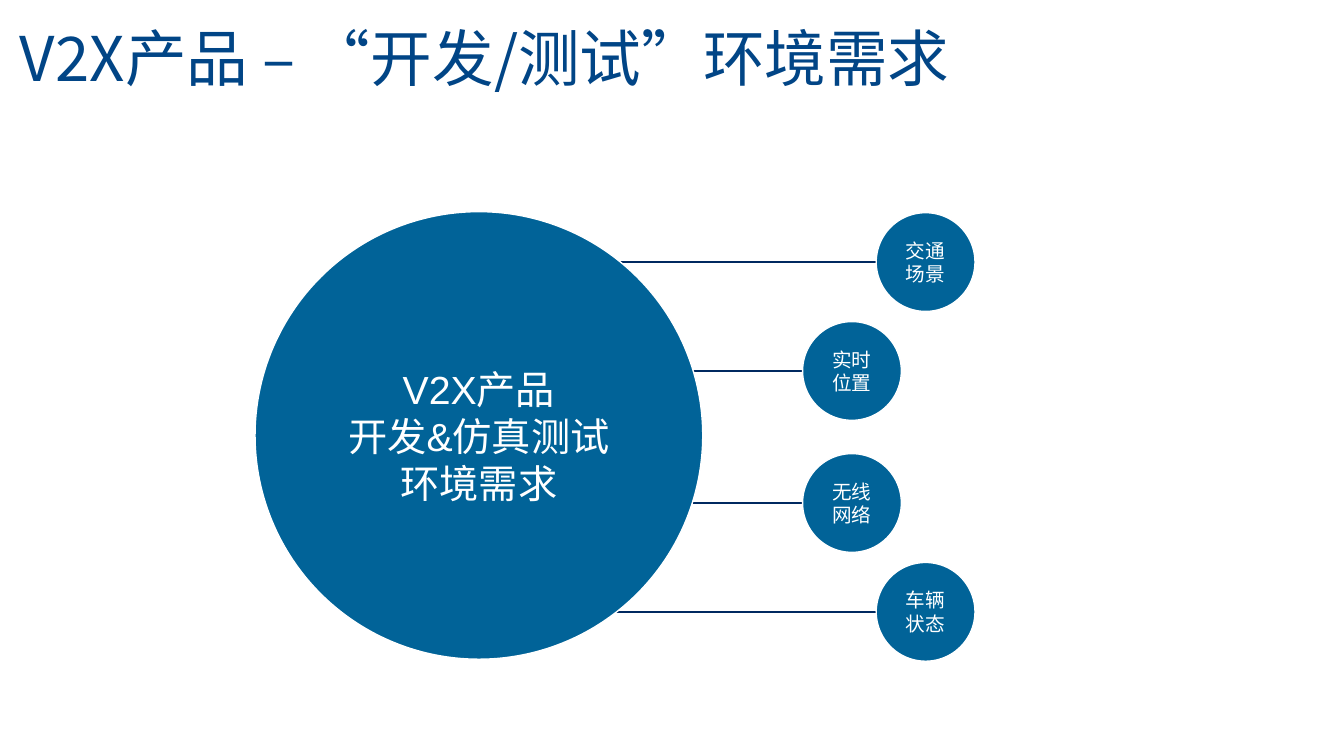
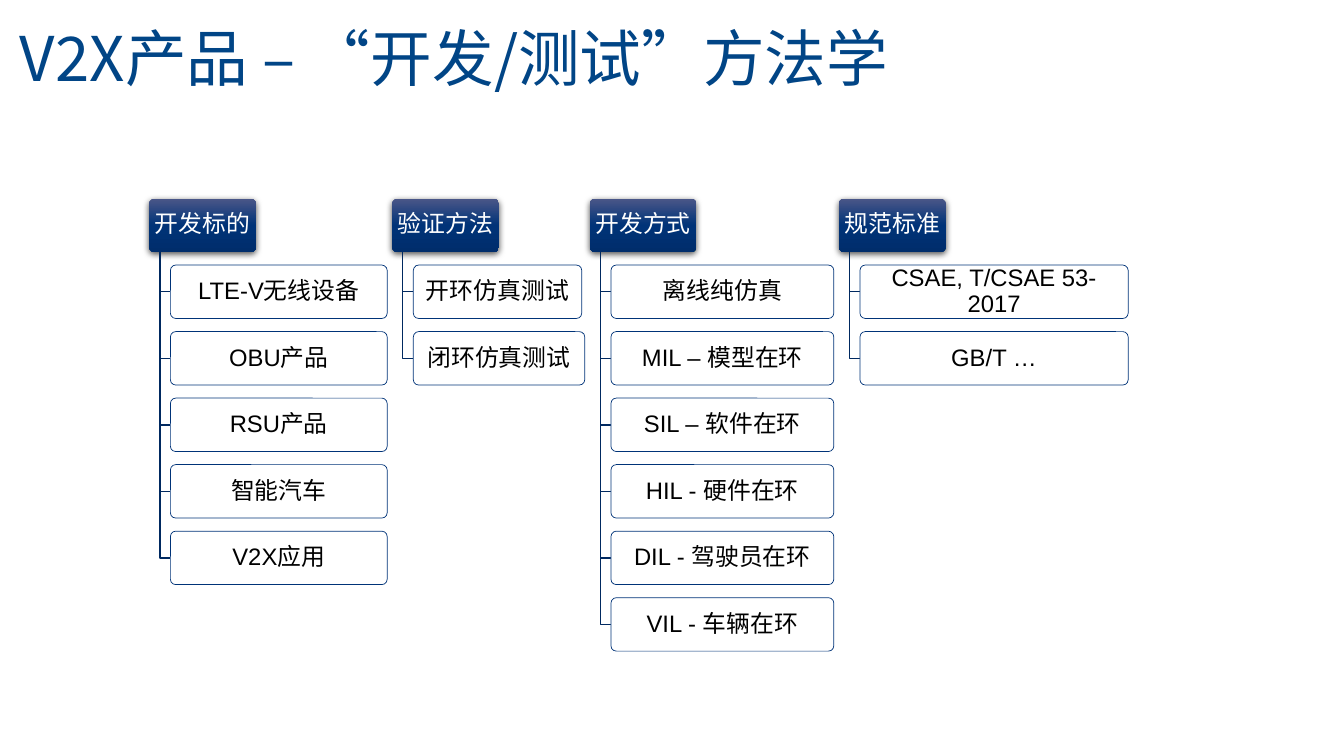
from copy import deepcopy

from pptx import Presentation
from pptx.dml.color import RGBColor
from pptx.enum.shapes import MSO_CONNECTOR, MSO_SHAPE
from pptx.enum.text import MSO_ANCHOR, PP_ALIGN
from pptx.oxml import parse_xml
from pptx.oxml.ns import nsdecls, qn
from pptx.oxml.xmlchemy import OxmlElement
from pptx.util import Inches, Pt

STRAIGHT = MSO_CONNECTOR.STRAIGHT
OVAL, ROUNDED = MSO_SHAPE.OVAL, MSO_SHAPE.ROUNDED_RECTANGLE
CENTER, LEFT, MIDDLE = PP_ALIGN.CENTER, PP_ALIGN.LEFT, MSO_ANCHOR.MIDDLE

WHITE = RGBColor(0xFF, 0xFF, 0xFF)
BLACK = RGBColor(0x00, 0x00, 0x00)
TITLE_BLUE = RGBColor(0x01, 0x45, 0x86)
CIRCLE_BLUE = RGBColor(0x01, 0x63, 0x98)
LINE_NAVY = RGBColor(0x00, 0x29, 0x60)
BORDER_NAVY = RGBColor(0x00, 0x33, 0x78)
HEADING_STOPS = [
    (0, RGBColor(0x4B, 0x57, 0x88)),
    (0.5, BORDER_NAVY),
    (1, RGBColor(0x00, 0x2D, 0x6B)),
]
LATIN_FONT, CHINESE_FONT = "Arial", "Noto Sans CJK SC"

# Needs: the hub and its satellites, as centre x, centre y and lines of text
NEEDS_TITLE = "V2X产品 – “开发/测试”环境需求"
HUB = (4.75, 4.32, ["V2X产品", "开发&仿真测试", "环境需求"])
HUB_SIZE, SATELLITE_SIZE = 4.44, 0.98
SATELLITES = [
    (9.18, 2.6, ["交通", "场景"]),
    (8.45, 3.68, ["实时", "位置"]),
    (8.45, 4.99, ["无线", "网络"]),
    (9.18, 6.07, ["车辆", "状态"]),
]

# Methods: heading, item width and items of each column
METHODS_TITLE = "V2X产品 – “开发/测试”方法学"
COLUMNS = [
    ("开发标的", 2.15, ["LTE-V无线设备", "OBU产品", "RSU产品", "智能汽车", "V2X应用"]),
    ("验证方法", 1.7, ["开环仿真测试", "闭环仿真测试"]),
    ("开发方式", 2.21, ["离线纯仿真", "MIL – 模型在环", "SIL – 软件在环",
                    "HIL - 硬件在环", "DIL - 驾驶员在环", "VIL - 车辆在环"]),
    ("规范标准", 2.66, ["CSAE, T/CSAE 53-2017", "GB/T …"]),
]
SPECIAL_WIDTHS = {"开环仿真测试": 1.67}
COLUMNS_LEFT, COLUMNS_TOP, COLUMN_GAP = 1.48, 1.97, 0.05
HEADING_WIDTH, BOX_HEIGHT, ROW_PITCH = 1.06, 0.53, 0.66
ITEM_INDENT = 0.21


def write(shape, lines, size, color, latin=LATIN_FONT, align=CENTER, spacing=1.0):
    for index, line in enumerate(lines):
        frame = shape.text_frame
        paragraph = frame.add_paragraph() if index else frame.paragraphs[0]
        paragraph.alignment, paragraph.line_spacing = align, spacing
        run = paragraph.add_run()
        run.text = line
        for name, value in {"name": latin, "size": Pt(size)}.items():
            setattr(run.font, name, value)
        run.font.color.rgb = color
        east_asian = OxmlElement("a:ea")
        east_asian.set("typeface", CHINESE_FONT)
        run.font._element.find(qn("a:latin")).addnext(east_asian)


def set_frame(shape, wrap, horizontal, vertical):
    frame_format = {
        "word_wrap": wrap, "vertical_anchor": MIDDLE,
        "margin_left": Inches(horizontal), "margin_right": Inches(horizontal),
        "margin_top": Inches(vertical), "margin_bottom": Inches(vertical),
    }
    for name, value in frame_format.items():
        setattr(shape.text_frame, name, value)


def set_line(shape, color, width):
    shape.line.color.rgb = color
    shape.line.width = Pt(width)


def add_titled_slide(presentation, title):
    slide = presentation.slides.add_slide(presentation.slide_layouts[6])
    box = slide.shapes.add_textbox(Inches(0.1), 0, Inches(11.7), Inches(0.96))
    box.text_frame.word_wrap = True
    write(box, [title], 44, TITLE_BLUE, CHINESE_FONT, LEFT, 1.2)
    return slide


def add_filled_shape(slide, preset, left, top, width, height, color):
    shape = slide.shapes.add_shape(
        preset, Inches(left), Inches(top), Inches(width), Inches(height))
    shape.shadow.inherit = False
    shape.fill.solid()
    shape.fill.fore_color.rgb = color
    return shape


def add_circle(slide, center_x, center_y, diameter, lines, size):
    circle = add_filled_shape(slide, OVAL, center_x - diameter / 2,
                              center_y - diameter / 2, diameter, diameter, CIRCLE_BLUE)
    set_line(circle, WHITE, 1)
    set_frame(circle, False, 0, 0)
    write(circle, lines, size, WHITE)


def add_spoke(slide, start_x, end_x, y):
    spoke = slide.shapes.add_connector(
        STRAIGHT, Inches(start_x), Inches(y), Inches(end_x), Inches(y))
    set_line(spoke, LINE_NAVY, 1)
    spoke._element.spPr.append(OxmlElement("a:effectLst"))


def add_box(slide, left, top, width, text, color):
    box = add_filled_shape(slide, ROUNDED, left, top, width, BOX_HEIGHT, WHITE)
    box.adjustments[0] = 0.1
    set_line(box, BORDER_NAVY, 0.5)
    set_frame(box, True, 0.04, 0.02)
    write(box, [text], 17, color, spacing=0.9)
    return box


def add_heading(slide, left, text):
    """Add a column heading with a three-colour gradient and a soft shadow."""
    heading = add_box(slide, left, COLUMNS_TOP, HEADING_WIDTH, text, WHITE)
    heading.line.fill.background()
    heading.fill.gradient()
    heading.fill.gradient_angle = 270
    properties = heading._element.spPr
    stop_list = properties.find(".//" + qn("a:gsLst"))
    stop_list.append(deepcopy(stop_list[-1]))
    for stop, (position, color) in zip(heading.fill.gradient_stops, HEADING_STOPS):
        stop.position = position
        stop.color.rgb = color
    properties.find(qn("a:effectLst")).append(parse_xml(
        f'<a:outerShdw {nsdecls("a")} blurRad="{Pt(4.5)}" dist="{Pt(1.5)}" '
        'dir="5400000" algn="ctr" rotWithShape="0">'
        '<a:srgbClr val="000000"><a:alpha val="63000"/></a:srgbClr></a:outerShdw>'))


def add_branch(slide, trunk_x, start_y, end_x, end_y):
    """Draw the bent line from a heading down and across to an item."""
    builder = slide.shapes.build_freeform(Inches(trunk_x), Inches(start_y))
    builder.add_line_segments(
        [(Inches(trunk_x), Inches(end_y)), (Inches(end_x), Inches(end_y))], close=False)
    branch = builder.convert_to_shape()
    branch.shadow.inherit = False
    branch.fill.background()
    set_line(branch, LINE_NAVY, 1)


def build_needs(presentation):
    slide = add_titled_slide(presentation, NEEDS_TITLE)
    hub_x, hub_y, hub_lines = HUB
    for x, y, _ in SATELLITES:
        add_spoke(slide, hub_x, x, y)
    add_circle(slide, hub_x, hub_y, HUB_SIZE, hub_lines, 28)
    for x, y, lines in SATELLITES:
        add_circle(slide, x, y, SATELLITE_SIZE, lines, 14)


def build_methods(presentation):
    slide = add_titled_slide(presentation, METHODS_TITLE)
    left = COLUMNS_LEFT
    for heading, width, items in COLUMNS:
        add_heading(slide, left, heading)
        item_left = left + ITEM_INDENT
        for row, item in enumerate(items, start=1):
            top = COLUMNS_TOP + row * ROW_PITCH
            add_branch(slide, left + ITEM_INDENT / 2, COLUMNS_TOP + BOX_HEIGHT,
                       item_left, top + BOX_HEIGHT / 2)
            add_box(slide, item_left, top, SPECIAL_WIDTHS.get(item, width), item, BLACK)
        left = item_left + width + COLUMN_GAP


def main():
    presentation = Presentation()
    presentation.slide_width = Inches(13.33)
    presentation.slide_height = Inches(7.5)
    build_needs(presentation)
    build_methods(presentation)
    presentation.save("out.pptx")


if __name__ == "__main__":
    main()
